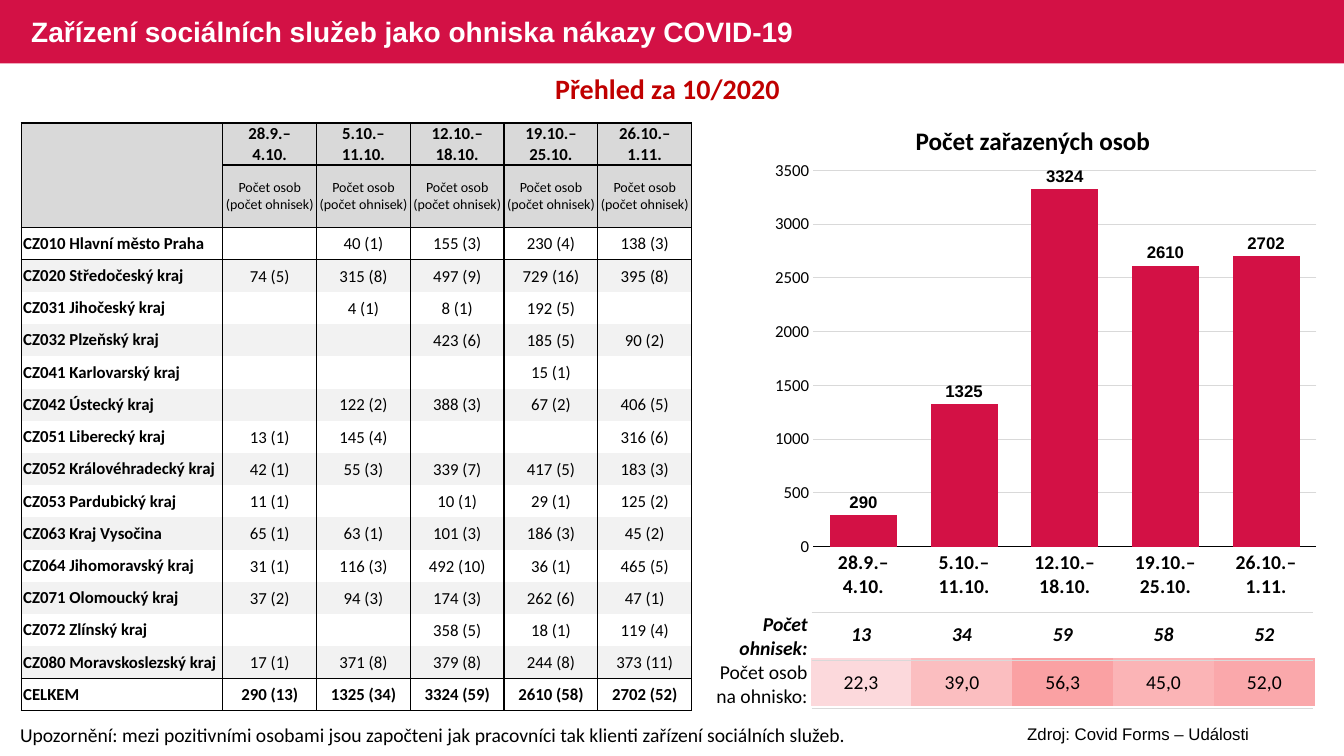
from copy import deepcopy
from dataclasses import dataclass, field
from typing import Any

from lxml.etree import SubElement
from pptx import Presentation
from pptx.chart.data import CategoryChartData
from pptx.dml.color import RGBColor
from pptx.enum.chart import XL_CHART_TYPE, XL_LABEL_POSITION, XL_TICK_MARK
from pptx.enum.shapes import MSO_SHAPE
from pptx.enum.text import MSO_ANCHOR, MSO_AUTO_SIZE, PP_ALIGN
from pptx.oxml import parse_xml
from pptx.oxml.ns import nsdecls, qn
from pptx.util import Inches, Pt

COLORS = {
    "crimson": "D31145", "heading": "C00000", "black": "000000", "white": "FFFFFF",
    "header": "D9D9D9", "band": "F2F2F2", "grid": "D9D9D9",
    "heat1": "FCD9DC", "heat2": "FBBEC0", "heat3": "FAA1A3", "heat4": "FBB4B6", "heat5": "FAA8AB",
}
NO_STYLE = "{2D5ABB26-0587-4C30-8999-92F81FD0307C}"
WEEKS = ("28.9.–\n4.10.", "5.10.–\n11.10.", "12.10.–\n18.10.", "19.10.–\n25.10.", "26.10.–\n1.11.")
PEOPLE = (290, 1325, 3324, 2610, 2702)
OUTBREAKS = (13, 34, 59, 58, 52)
PEOPLE_PER_OUTBREAK = ("22,3", "39,0", "56,3", "45,0", "52,0")


@dataclass
class Style:
    size: float
    bold: bool = False
    italic: bool = False
    name: str = "Calibri"
    color: str = "black"
    align: Any = PP_ALIGN.CENTER


@dataclass
class Label:
    text: str
    place: tuple[float, float, float, float]
    style: Style


@dataclass
class Region:
    name: str
    counts: tuple[str, ...]


@dataclass
class CellLook:
    style: Style
    fill: str = ""
    margins: tuple[float, float, float, float] = (0.01, 0.01, 0.01, 0)
    borders: dict[str, float] = field(default_factory=dict)
    border_color: str = "black"


LABELS = (
    Label("Zdroj: Covid Forms – Události", (9.35, 7.13, 3.88, 0.3), Style(12, name="Arial")),
    Label("Upozornění: mezi pozitivními osobami jsou započteni jak pracovníci tak klienti "
          "zařízení sociálních služeb.", (0.1, 7.12, 8.52, 0.34), Style(14, align=PP_ALIGN.LEFT)),
    Label("Počet zařazených osob", (7.56, 1.19, 5.37, 0.4), Style(18, bold=True)),
    Label("Přehled za 10/2020", (0.21, 0.66, 12.82, 0.44), Style(20, bold=True, color="heading")),
)
REGIONS = (
    Region("CZ010 Hlavní město Praha", ("", "40 (1)", "155 (3)", "230 (4)", "138 (3)")),
    Region("CZ020 Středočeský kraj", ("74 (5)", "315 (8)", "497 (9)", "729 (16)", "395 (8)")),
    Region("CZ031 Jihočeský kraj", ("", "4 (1)", "8 (1)", "192 (5)", "")),
    Region("CZ032 Plzeňský kraj", ("", "", "423 (6)", "185 (5)", "90 (2)")),
    Region("CZ041 Karlovarský kraj", ("", "", "", "15 (1)", "")),
    Region("CZ042 Ústecký kraj", ("", "122 (2)", "388 (3)", "67 (2)", "406 (5)")),
    Region("CZ051 Liberecký kraj", ("13 (1)", "145 (4)", "", "", "316 (6)")),
    Region("CZ052 Královéhradecký kraj", ("42 (1)", "55 (3)", "339 (7)", "417 (5)", "183 (3)")),
    Region("CZ053 Pardubický kraj", ("11 (1)", "", "10 (1)", "29 (1)", "125 (2)")),
    Region("CZ063 Kraj Vysočina", ("65 (1)", "63 (1)", "101 (3)", "186 (3)", "45 (2)")),
    Region("CZ064 Jihomoravský kraj", ("31 (1)", "116 (3)", "492 (10)", "36 (1)", "465 (5)")),
    Region("CZ071 Olomoucký kraj", ("37 (2)", "94 (3)", "174 (3)", "262 (6)", "47 (1)")),
    Region("CZ072 Zlínský kraj", ("", "", "358 (5)", "18 (1)", "119 (4)")),
    Region("CZ080 Moravskoslezský kraj", ("17 (1)", "371 (8)", "379 (8)", "244 (8)", "373 (11)")),
    Region("CELKEM", tuple(f"{people} ({count})" for people, count in zip(PEOPLE, OUTBREAKS))),
)


def rgb(name: str) -> RGBColor:
    return RGBColor.from_string(COLORS[name])


def format_font(font: Any, style: Style) -> None:
    values = {"size": Pt(style.size), "bold": style.bold, "italic": style.italic, "name": style.name}
    for attribute, value in values.items():
        setattr(font, attribute, value)
    font.color.rgb = rgb(style.color)


def write_text(frame: Any, text: str, style: Style) -> None:
    """Fill the first paragraph; line breaks take the size of the text around them."""
    para = frame.paragraphs[0]
    para.text = text
    para.alignment = style.align
    for span in para.runs:
        format_font(span.font, style)
    for line_break in para._p.findall(qn("a:br")):
        line_break.insert(0, deepcopy(para.runs[0]._r.rPr))


def add_label(page: Any, label: Label) -> None:
    box = page.shapes.add_textbox(*map(Inches, label.place))
    box.text_frame.word_wrap = True
    write_text(box.text_frame, label.text, label.style)


def format_cell(cell: Any, text: str, look: CellLook) -> None:
    for side, margin in zip(("left", "top", "right", "bottom"), look.margins):
        setattr(cell, f"margin_{side}", Inches(margin))
    cell.vertical_anchor = MSO_ANCHOR.MIDDLE
    if text:
        write_text(cell.text_frame, text, look.style)
    properties = cell._tc.get_or_add_tcPr()
    for side in "LRTB":
        if side in look.borders:
            line = SubElement(properties, qn(f"a:ln{side}"), w=str(Pt(look.borders[side])))
            solid = SubElement(line, qn("a:solidFill"))
            SubElement(solid, qn("a:srgbClr"), val=COLORS[look.border_color])
    if look.fill:
        cell.fill.solid()
        cell.fill.fore_color.rgb = rgb(look.fill)
    else:
        cell.fill.background()


def add_plain_table(page: Any, left: float, top: float, widths: list[float], heights: list[float]) -> Any:
    table = page.shapes.add_table(len(heights), len(widths), Inches(left), Inches(top),
                                  Inches(sum(widths)), Inches(sum(heights))).table
    table.first_row = table.horz_banding = False
    table._tbl.tblPr.find(qn("a:tableStyleId")).text = NO_STYLE
    for parts, attribute, lengths in ((table.columns, "width", widths), (table.rows, "height", heights)):
        for part, length in zip(parts, lengths):
            setattr(part, attribute, Inches(length))
    return table


def add_region_table(page: Any) -> None:
    rows = [("", *WEEKS), ("", *["Počet osob (počet ohnisek)"] * len(WEEKS))]
    rows += [(region.name, *region.counts) for region in REGIONS]
    last = len(rows) - 1
    table = add_plain_table(page, 0.21, 1.22, [2] + [0.93] * 5, [0.41, 0.62] + [0.32] * len(REGIONS))
    top_lines = {0: 1, 1: 1, 2: 0.5, last: 1}
    bottom_lines = {0: 1, 1: 0.5, last - 1: 1, last: 1}
    for row, texts in enumerate(rows):
        fill = "header" if row < 2 else "band" if row % 2 and row < last else ""
        for column, text in enumerate(texts):
            is_name = column == 0
            borders = {"L": 1, "R": 1}
            if row in top_lines and not (is_name and row == 1):
                borders["T"] = top_lines[row]
            if row in bottom_lines and not (is_name and row == 0):
                borders["B"] = bottom_lines[row]
            style = Style(10 if row == 1 else 12, bold=is_name or row in (0, last),
                          align=PP_ALIGN.LEFT if is_name else PP_ALIGN.CENTER)
            margins = (0.02, 0, 0.02, 0) if is_name else (0.01, 0.01, 0.01, 0)
            format_cell(table.cell(row, column), text, CellLook(style, fill, margins, borders))


def add_outbreak_tables(page: Any) -> None:
    """Put the weekly figures under the chart, with a ruled table of row names over them."""
    row_styles = (Style(14, bold=True, italic=True), Style(14))
    figures = add_plain_table(page, 8.04, 6.06, [1] * 5, [0.47] * 2)
    names = add_plain_table(page, 7.04, 6.08, [1.01] + [0.71] * 7, [0.47] * 2)
    for row, (style, values) in enumerate(zip(row_styles, (OUTBREAKS, PEOPLE_PER_OUTBREAK))):
        for column, value in enumerate(values):
            fill = f"heat{column + 1}" if row else ""
            format_cell(figures.cell(row, column), str(value), CellLook(style, fill))
        name_style = Style(14, style.bold, style.italic, align=PP_ALIGN.RIGHT)
        name = ("Počet ohnisek:", "Počet osob na ohnisko:")[row]
        format_cell(names.cell(row, 0), name, CellLook(name_style, margins=(0.01, 0, 0.04, 0)))
        for column in range(1, 8):
            ruled = CellLook(style, borders={"T": 1, "B": 1}, border_color="grid")
            format_cell(names.cell(row, column), "", ruled)


def add_people_chart(page: Any) -> None:
    data = CategoryChartData()
    data.categories = WEEKS
    data.add_series("Počet osob", PEOPLE)
    chart = page.shapes.add_chart(XL_CHART_TYPE.COLUMN_CLUSTERED, Inches(7.56), Inches(1.51),
                                  Inches(5.61), Inches(4.55), data).chart
    chart.has_title = chart.has_legend = False
    format_font(chart.font, Style(14, bold=True, name="Arial"))
    plot = chart.plots[0]
    plot.gap_width, plot.vary_by_categories, plot.has_data_labels = 50, False, True
    bars = plot.series[0].format.fill
    bars.solid()
    bars.fore_color.rgb = rgb("crimson")
    labels = plot.data_labels
    labels.show_value, labels.position = True, XL_LABEL_POSITION.OUTSIDE_END
    format_font(labels.font, Style(12, bold=True, name="Arial"))
    weeks, values = chart.category_axis, chart.value_axis
    for axis, style in ((weeks, Style(14, bold=True)), (values, Style(12))):
        axis.major_tick_mark = axis.minor_tick_mark = XL_TICK_MARK.NONE
        format_font(axis.tick_labels.font, style)
    values.minimum_scale, values.maximum_scale, values.major_unit = 0, 3500, 500
    values.format.line.fill.background()
    for line, color in ((weeks.format.line, "black"), (values.major_gridlines.format.line, "grid")):
        line.width = Pt(0.75)
        line.color.rgb = rgb(color)
    area = chart._chartSpace.chart.plotArea
    for old in area.findall(qn("c:layout")):
        area.remove(old)
    sizes = "".join(f'<c:{key} val="{value}"/>' for key, value in (
        ("layoutTarget", "inner"), ("xMode", "edge"), ("yMode", "edge"),
        ("x", 0.09), ("y", 0.04), ("w", 0.89), ("h", 0.82)))
    area.insert(0, parse_xml(f'<c:layout {nsdecls("c")}><c:manualLayout>{sizes}</c:manualLayout></c:layout>'))


def add_title_banner(page: Any) -> None:
    banner = page.shapes.add_shape(MSO_SHAPE.RECTANGLE, 0, 0, Inches(13.33), Inches(0.63))
    banner.shadow.inherit = False
    banner.fill.solid()
    banner.fill.fore_color.rgb = rgb("crimson")
    banner.line.fill.background()
    title = page.shapes.title
    banner.element.addnext(title.element)
    for side, length in zip(("left", "top", "width", "height"), (0.21, 0.02, 8.13, 0.63)):
        setattr(title, side, Inches(length))
    frame = title.text_frame
    frame.auto_size, frame.vertical_anchor = MSO_AUTO_SIZE.NONE, MSO_ANCHOR.MIDDLE
    write_text(frame, "Zařízení sociálních služeb jako ohniska nákazy COVID-19",
               Style(20, bold=True, name="Arial", color="white", align=PP_ALIGN.LEFT))
    frame.paragraphs[0].line_spacing = 0.9


def main() -> None:
    deck = Presentation()
    deck.slide_width, deck.slide_height = Inches(13.33), Inches(7.5)
    page = deck.slides.add_slide(deck.slide_layouts[5])
    add_title_banner(page)
    add_region_table(page)
    add_people_chart(page)
    add_outbreak_tables(page)
    for label in LABELS:
        add_label(page, label)
    deck.save("out.pptx")


if __name__ == "__main__":
    main()
